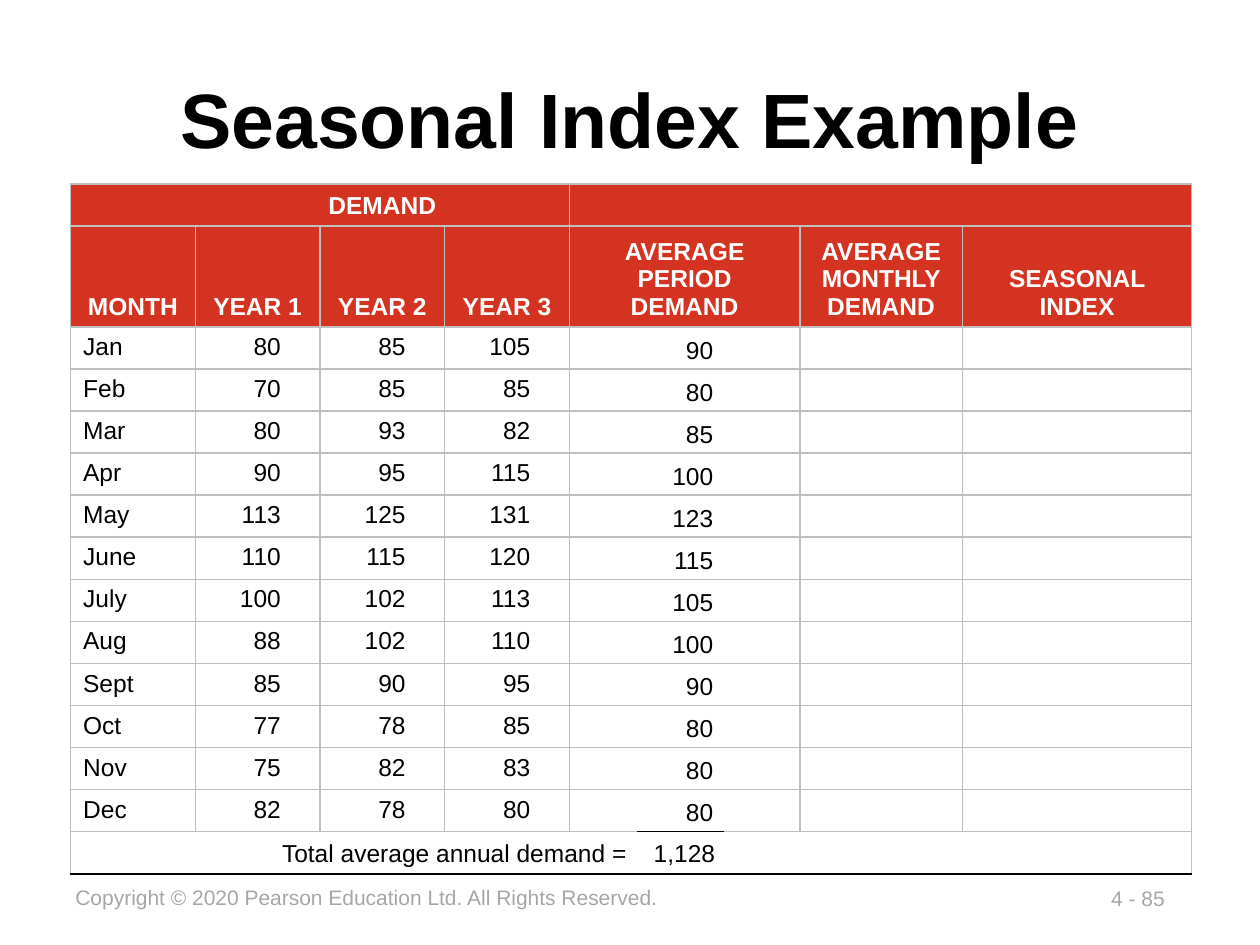
from lxml import etree
from pptx import Presentation
from pptx.dml.color import RGBColor
from pptx.enum.text import MSO_ANCHOR, MSO_AUTO_SIZE, PP_ALIGN
from pptx.oxml.ns import qn
from pptx.util import Inches, Pt

LEFT, CENTER, RIGHT = PP_ALIGN.LEFT, PP_ALIGN.CENTER, PP_ALIGN.RIGHT
TOP, MIDDLE, BOTTOM = MSO_ANCHOR.TOP, MSO_ANCHOR.MIDDLE, MSO_ANCHOR.BOTTOM
FIT_SHAPE = MSO_AUTO_SIZE.SHAPE_TO_FIT_TEXT

BLACK = RGBColor(0x00, 0x00, 0x00)
WHITE = RGBColor(0xFF, 0xFF, 0xFF)
RED = RGBColor(0xD3, 0x33, 0x20)
GRID_GRAY = RGBColor(0xBF, 0xBF, 0xBF)
FOOTER_GRAY = RGBColor(0xA6, 0xA6, 0xA6)

FONT = "Arial"
NO_STYLE_ID = "{2D5ABB26-0587-4C30-8999-92F81FD0307C}"
COLUMN_WIDTHS = [0.99, 0.99, 0.99, 0.99, 0.54, 0.69, 0.6, 1.29, 1.82]
TABLE_HEIGHT, HEADING_HEIGHT = 5.47, 0.8
TOTAL_COLUMN = 5  # column holding the sum rule above the total

# Column number: heading
HEADINGS = {0: "MONTH", 1: "YEAR 1", 2: "YEAR 2", 3: "YEAR 3",
            4: "AVERAGE PERIOD DEMAND", 7: "AVERAGE MONTHLY DEMAND",
            8: "SEASONAL INDEX"}

# Month, demand in years 1 to 3, average period demand
DEMAND = [
    ("Jan", 80, 85, 105, 90),
    ("Feb", 70, 85, 85, 80),
    ("Mar", 80, 93, 82, 85),
    ("Apr", 90, 95, 115, 100),
    ("May", 113, 125, 131, 123),
    ("June", 110, 115, 120, 115),
    ("July", 100, 102, 113, 105),
    ("Aug", 88, 102, 110, 100),
    ("Sept", 85, 90, 95, 90),
    ("Oct", 77, 78, 85, 80),
    ("Nov", 75, 82, 83, 80),
    ("Dec", 82, 78, 80, 80),
]
ROW_COUNT = len(DEMAND) + 3
TOTAL_ROW = ROW_COUNT - 1


def add_tab(paragraph, position, alignment):
    tab_list = etree.SubElement(paragraph._p.get_or_add_pPr(), qn("a:tabLst"))
    etree.SubElement(tab_list, qn("a:tab"), pos=str(Inches(position)), algn=alignment)


def format_paragraph(paragraph, size, color, bold=False, alignment=LEFT):
    paragraph.alignment = alignment
    font = paragraph.font
    font.name, font.size, font.bold = FONT, Pt(size), bold
    font.color.rgb = color


def add_text(slide, box, lines, size, color, alignment=LEFT, line_spacing=None, tab=None):
    shape = slide.shapes.add_textbox(*map(Inches, box))
    frame = shape.text_frame
    frame.word_wrap = False
    frame.auto_size = FIT_SHAPE
    frame.text = "\n".join(lines)
    for paragraph in frame.paragraphs:
        if line_spacing:
            paragraph.line_spacing = line_spacing
        if tab:
            add_tab(paragraph, tab, "l")
        format_paragraph(paragraph, size, color, alignment=alignment)


def fill_cell(cell, text, color=BLACK, bold=False, alignment=LEFT, anchor=TOP):
    cell.vertical_anchor = anchor
    paragraph = cell.text_frame.paragraphs[0]
    if text.startswith("\t"):
        add_tab(paragraph, 0.58, "r")
    paragraph.text = text
    format_paragraph(paragraph, 14, color, bold, alignment)
    if not text:
        # Keeps empty cells from growing their row
        etree.SubElement(paragraph._p, qn("a:endParaRPr"), sz="1400")


def set_borders(cell, edges):
    """Draw each edge (L, R, T, B) in its colour, or hide it when None."""
    properties = cell._tc.get_or_add_tcPr()
    for index, (side, color) in enumerate(edges.items()):
        line = etree.Element(qn(f"a:ln{side}"), w=str(Pt(1)))
        if color is None:
            etree.SubElement(line, qn("a:noFill"))
        else:
            fill = etree.SubElement(line, qn("a:solidFill"))
            etree.SubElement(fill, qn("a:srgbClr"), val=str(color))
        properties.insert(index, line)


def cell_edges(row, column):
    # Columns at which a vertical grid line starts
    if row == 0:
        starts = {0, 4, 9}
    elif row == TOTAL_ROW:
        starts = {0, 9}
    else:
        starts = set(HEADINGS) | {9}

    def horizontal(boundary):
        sum_rule = boundary == TOTAL_ROW and column == TOTAL_COLUMN
        return BLACK if sum_rule or boundary == ROW_COUNT else GRID_GRAY

    return {"L": GRID_GRAY if column in starts else None,
            "R": GRID_GRAY if column + 1 in starts else None,
            "T": horizontal(row), "B": horizontal(row + 1)}


def cell_text(row, column):
    if row == 0:
        return "DEMAND" if column == 1 else ""
    if row == 1:
        return HEADINGS.get(column, "")
    if row == TOTAL_ROW or column > 3:
        return ""
    value = DEMAND[row - 2][column]
    return value if column == 0 else f"\t{value}"


def add_demand_table(slide):
    frame = slide.shapes.add_table(
        ROW_COUNT, len(COLUMN_WIDTHS), Inches(0.56), Inches(1.46),
        Inches(sum(COLUMN_WIDTHS)), Inches(TABLE_HEIGHT))
    table = frame.table
    table.first_row = table.horz_banding = False
    table._tbl.tblPr.find(qn("a:tableStyleId")).text = NO_STYLE_ID

    for column, width in zip(table.columns, COLUMN_WIDTHS):
        column.width = Inches(width)
    row_height = (TABLE_HEIGHT - HEADING_HEIGHT) / (ROW_COUNT - 1)
    for index, row in enumerate(table.rows):
        row.height = Inches(HEADING_HEIGHT if index == 1 else row_height)

    # Merged cells: row, first column, last column
    for row, first, last in [(0, 1, 3), (1, 4, 6), (TOTAL_ROW, 0, 4)]:
        table.cell(row, first).merge(table.cell(row, last))

    for row in range(ROW_COUNT):
        for column in range(len(COLUMN_WIDTHS)):
            cell = table.cell(row, column)
            text = cell_text(row, column)
            if row < 2:
                fill_cell(cell, text, WHITE, True, CENTER, BOTTOM)
                cell.fill.solid()
                cell.fill.fore_color.rgb = RED
            else:
                fill_cell(cell, text)
                cell.fill.background()
            set_borders(cell, cell_edges(row, column))


def add_title(slide, text):
    title = slide.shapes.title
    title.left, title.top = Inches(0.75), Inches(0.44)
    title.width, title.height = Inches(8.5), Inches(0.99)
    title.text_frame.text = text
    title.text_frame.vertical_anchor = MIDDLE
    format_paragraph(title.text_frame.paragraphs[0], 44, BLACK, True, CENTER)


def main():
    presentation = Presentation()
    presentation.slide_width, presentation.slide_height = Inches(10), Inches(7.5)
    slide = presentation.slides.add_slide(presentation.slide_layouts[5])

    # Footer
    add_text(slide, (8.72, 6.98, 0.65, 0.3), ["4 - 85"], 12, FOOTER_GRAY)
    add_text(slide, (0.5, 6.97, 4.86, 0.3),
             ["Copyright © 2020 Pearson Education Ltd. All Rights Reserved."],
             12, FOOTER_GRAY)

    add_title(slide, "Seasonal Index Example")
    add_demand_table(slide)

    # Averages and their total, laid over the table
    averages = [str(row[-1]) for row in DEMAND]
    add_text(slide, (5.23, 2.51, 0.53, 4.1), averages, 14, BLACK, RIGHT, 1.43)
    add_text(slide, (2.14, 6.6, 3.67, 0.34),
             ["Total average annual demand =\t1,128"], 14, BLACK, tab=2.95)

    presentation.save("out.pptx")


if __name__ == "__main__":
    main()
